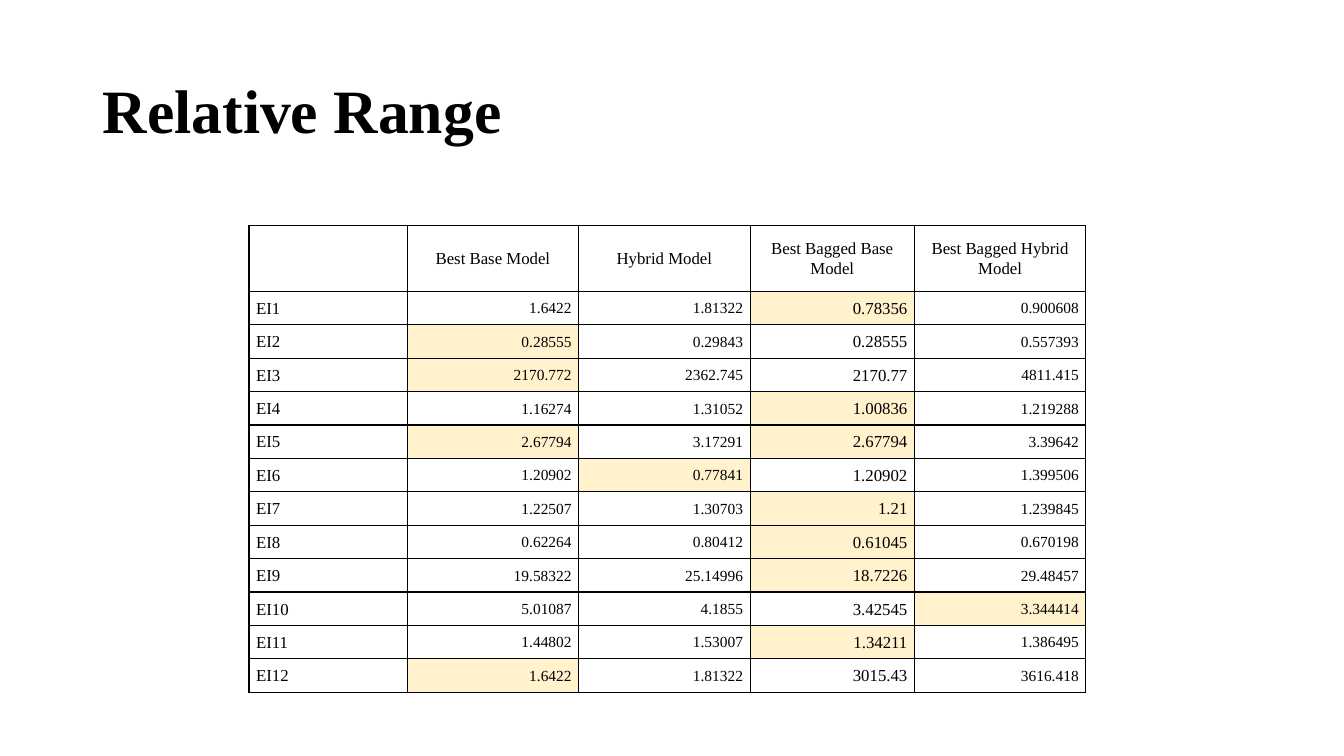
from dataclasses import dataclass

from lxml import etree
from pptx import Presentation
from pptx import util as u
from pptx.dml.color import RGBColor
from pptx.enum import text
from pptx.oxml import ns

FONT = "Times New Roman"
BLACK, WHITE, HIGHLIGHT = "000000", "FFFFFF", "FFF2CC"
LEFT, CENTER, RIGHT = text.PP_ALIGN.LEFT, text.PP_ALIGN.CENTER, text.PP_ALIGN.RIGHT
TABLE_LEFT, TABLE_TOP, TABLE_HEIGHT, HEADER_HEIGHT = 2.47, 2.24, 4.63, 0.65


@dataclass
class Column:
    heading: str
    width: float
    size: int
    align: text.PP_ALIGN


@dataclass
class Indicator:
    values: tuple[str, ...]
    best: tuple[int, ...]  # highlighted column numbers


COLUMNS = [
    Column("", 1.57, 12, LEFT),
    Column("Best Base Model", 1.7, 11, RIGHT),
    Column("Hybrid Model", 1.7, 11, RIGHT),
    Column("Best Bagged Base Model", 1.63, 12, RIGHT),
    Column("Best Bagged Hybrid Model", 1.7, 11, RIGHT),
]
INDICATORS = [
    Indicator(("1.6422", "1.81322", "0.78356", "0.900608"), (3,)),
    Indicator(("0.28555", "0.29843", "0.28555", "0.557393"), (1,)),
    Indicator(("2170.772", "2362.745", "2170.77", "4811.415"), (1,)),
    Indicator(("1.16274", "1.31052", "1.00836", "1.219288"), (3,)),
    Indicator(("2.67794", "3.17291", "2.67794", "3.39642"), (1, 3)),
    Indicator(("1.20902", "0.77841", "1.20902", "1.399506"), (2,)),
    Indicator(("1.22507", "1.30703", "1.21", "1.239845"), (3,)),
    Indicator(("0.62264", "0.80412", "0.61045", "0.670198"), (3,)),
    Indicator(("19.58322", "25.14996", "18.7226", "29.48457"), (3,)),
    Indicator(("5.01087", "4.1855", "3.42545", "3.344414"), (4,)),
    Indicator(("1.44802", "1.53007", "1.34211", "1.386495"), (3,)),
    Indicator(("1.6422", "1.81322", "3015.43", "3616.418"), (1,)),
]


def rgb(value: str) -> RGBColor:
    return RGBColor.from_string(value)


def style_text(p, size: int, align: text.PP_ALIGN, spacing: float, bold: bool = False) -> None:
    p.alignment = align
    p.line_spacing = spacing
    for r in p.runs:
        r.font.name = FONT
        r.font.size = u.Pt(size)
        r.font.bold = bold
        r.font.color.rgb = rgb(BLACK)


def add_borders(cell) -> None:
    tc_pr = cell._tc.get_or_add_tcPr()
    for side in ("lnL", "lnR", "lnT", "lnB"):
        line = etree.SubElement(tc_pr, ns.qn(f"a:{side}"), w=str(u.Pt(1)))
        fill = etree.SubElement(line, ns.qn("a:solidFill"))
        etree.SubElement(fill, ns.qn("a:srgbClr"), val=BLACK)


def fill_cell(cell, content: str, size: int, align: text.PP_ALIGN, color: str) -> None:
    add_borders(cell)
    cell.fill.solid()
    cell.fill.fore_color.rgb = rgb(color)
    cell.vertical_anchor = text.MSO_ANCHOR.MIDDLE
    cell.margin_left = cell.margin_right = u.Inches(0.07)
    cell.margin_top = cell.margin_bottom = 0
    cell.text_frame.text = content
    style_text(cell.text_frame.paragraphs[0], size, align, 1.07)


def add_title(s) -> None:
    sp = s.shapes.title
    sp.left, sp.top = u.Inches(0.92), u.Inches(0.4)
    sp.width, sp.height = u.Inches(11.5), u.Inches(1.45)
    tf = sp.text_frame
    tf.text = "Relative Range"
    tf.vertical_anchor = text.MSO_ANCHOR.MIDDLE
    style_text(tf.paragraphs[0], 44, LEFT, 0.9, bold=True)


def add_range_table(s) -> None:
    width = sum(column.width for column in COLUMNS)
    frame = s.shapes.add_table(
        len(INDICATORS) + 1, len(COLUMNS), u.Inches(TABLE_LEFT), u.Inches(TABLE_TOP),
        u.Inches(width), u.Inches(TABLE_HEIGHT))
    table = frame.table
    table.first_row = table.horz_banding = False

    # Row heights
    row_height = (TABLE_HEIGHT - HEADER_HEIGHT) / len(INDICATORS)
    for i, row in enumerate(table.rows):
        row.height = u.Inches(row_height if i else HEADER_HEIGHT)

    # Headings and values, column by column
    for j, column in enumerate(COLUMNS):
        table.columns[j].width = u.Inches(column.width)
        fill_cell(table.cell(0, j), column.heading, 12, CENTER, WHITE)
        for i, indicator in enumerate(INDICATORS, start=1):
            content = (f"EI{i}", *indicator.values)[j]
            color = HIGHLIGHT if j in indicator.best else WHITE
            fill_cell(table.cell(i, j), content, column.size, column.align, color)


def main() -> None:
    prs = Presentation()
    prs.slide_width, prs.slide_height = u.Inches(13.33), u.Inches(7.5)
    s = prs.slides.add_slide(prs.slide_layouts[5])
    add_title(s)
    add_range_table(s)
    prs.save("out.pptx")


if __name__ == "__main__":
    main()
